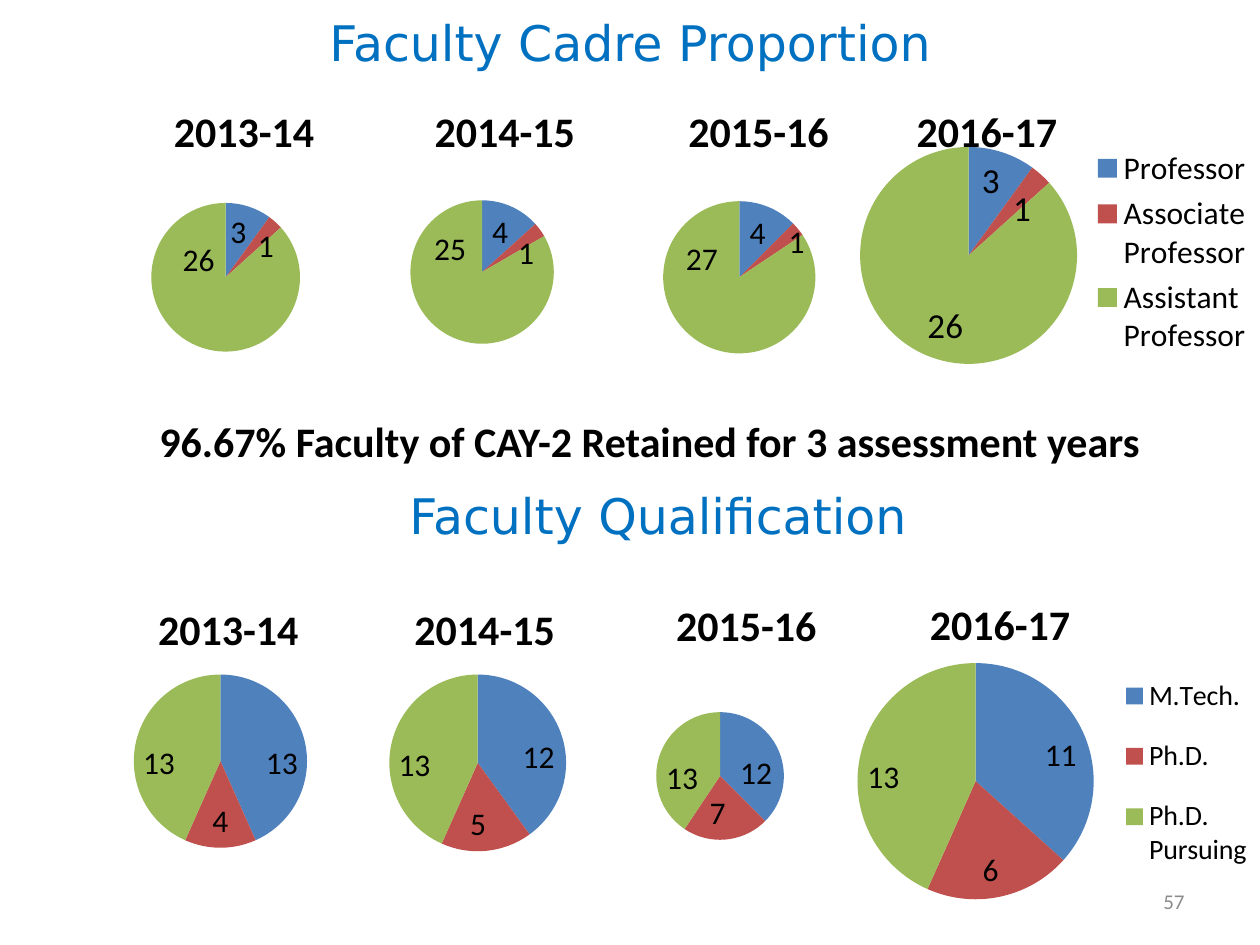
import pptx
import pptx.util
import pptx.chart.data
import pptx.dml.color
import pptx.enum.chart
import pptx.enum.text
import pptx.oxml
import pptx.oxml.ns

Pt = pptx.util.Pt
ALIGN = pptx.enum.text.PP_ALIGN
ANCHOR = pptx.enum.text.MSO_ANCHOR

COLORS = {"heading": "0070C0", "text": "000000", "number": "8C8C8C"}
SLICES = ["4F81BD", "C0504D", "9BBB59"]
NUMBERED = ["1", "2", "3"]
CADRES = ["Professor", "Associate Professor", "Assistant Professor"]
DEGREES = ["M.Tech.", "Ph.D.", "Ph.D. Pursuing"]

# Lengths in points: frame = left, top, width, height; title and pie = centre;
# moved = shift of single value labels; legend = left, top, width, height
CHARTS = [
    # Faculty cadre
    dict(year="2013-14", values=[3, 1, 26], frame=(30, 30, 198, 204),
         title=(135, 69), pie=(129, 158.5), diameter=85,
         moved={1: (2, 0), 2: (-9, -34)}),
    dict(year="2014-15", values=[4, 1, 25], frame=(180, 30, 192, 198),
         title=(284, 69), pie=(275.5, 155.5), diameter=82,
         moved={2: (-9, -34)}),
    dict(year="2015-16", values=[4, 1, 27], frame=(330, 30, 186, 204),
         title=(429, 69), pie=(422.5, 158.5), diameter=87,
         moved={1: (7, -6), 2: (-12, -34)}),
    dict(year="2016-17", values=[3, 1, 26], frame=(456, 24, 264, 210),
         title=(559.5, 69), pie=(553.5, 146), diameter=124,
         moved={1: (-3, 4)}, label_size=20,
         categories=CADRES, legend=(622, 81, 95, 126), legend_size=18),
    # Faculty qualification
    dict(year="2013-14", values=[13, 4, 13], frame=(30, 324, 192, 196.5),
         title=(126, 353.5), pie=(126, 435), diameter=99),
    dict(year="2014-15", values=[12, 5, 13], frame=(180, 324, 186, 198),
         title=(272.5, 353.5), pie=(273, 436), diameter=101),
    dict(year="2015-16", values=[12, 7, 13], frame=(330, 318, 174, 198),
         title=(422, 351.5), pie=(411.5, 443.5), diameter=73),
    dict(year="2016-17", values=[11, 6, 13], frame=(480, 282, 240, 276),
         title=(567, 351), pie=(557.5, 446.5), diameter=135,
         categories=DEGREES, legend=(639, 373, 78, 138), legend_size=16),
]
TITLE_WIDTH, TITLE_HEIGHT = 80, 29


def rgb(value):
    return pptx.dml.color.RGBColor.from_string(value)


def style(font, size, color=COLORS["text"], name="Calibri", bold=False):
    font.size, font.name, font.bold = Pt(size), name, bold
    font.color.rgb = rgb(color)


def write(shape, text, size, color, name="Calibri", bold=False,
          align=ALIGN.LEFT, anchor=ANCHOR.TOP):
    frame = shape.text_frame
    frame.word_wrap = True
    frame.vertical_anchor = anchor
    frame.text = text
    paragraph = frame.paragraphs[0]
    paragraph.alignment = align
    style(paragraph.runs[0].font, size, color, name, bold)


def add_text(slide, box, *args, **options):
    shape = slide.shapes.add_textbox(*[Pt(value) for value in box])
    write(shape, *args, **options)


def chart_xml(tag, content=""):
    namespaces = pptx.oxml.ns.nsdecls("c", "a")
    return pptx.oxml.parse_xml(f"<c:{tag} {namespaces}>{content}</c:{tag}>")


def set_layout(parent, index, frame, x, y, size=None, inner=False):
    """Place a chart element by hand, as shares of the chart's frame."""
    for old in parent.xpath("./c:layout"):
        parent.remove(old)
    width, height = frame[2:]
    values = {"x": x / width, "y": y / height}
    content = '<c:layoutTarget val="inner"/>' if inner else ""
    if size:
        content += '<c:xMode val="edge"/><c:yMode val="edge"/>'
        values.update(w=size[0] / width, h=size[1] / height)
    content += "".join(f'<c:{key} val="{value:.4f}"/>'
                       for key, value in values.items())
    parent.insert(index, chart_xml(
        "layout", f"<c:manualLayout>{content}</c:manualLayout>"))


def add_pie(slide, year, values, frame, title, pie, diameter, moved=None,
            label_size=18, categories=NUMBERED, legend=None, legend_size=None):
    data = pptx.chart.data.CategoryChartData()
    data.categories = categories
    data.add_series(year, values)
    chart = slide.shapes.add_chart(
        pptx.enum.chart.XL_CHART_TYPE.PIE,
        *[Pt(value) for value in frame], data).chart
    root = chart._chartSpace
    root.find(pptx.oxml.ns.qn("c:chart")).addnext(
        chart_xml("spPr", "<a:noFill/><a:ln><a:noFill/></a:ln>"))
    style(chart.font, 10)
    left, top = frame[:2]

    # Year above the pie
    chart.has_title = True
    title_frame = chart.chart_title.text_frame
    title_frame.text = year
    style(title_frame.paragraphs[0].runs[0].font, 24, bold=True)
    set_layout(root.xpath("./c:chart/c:title")[0], 1, frame,
               title[0] - TITLE_WIDTH / 2 - left,
               title[1] - TITLE_HEIGHT / 2 - top, size=(TITLE_WIDTH, TITLE_HEIGHT))

    # Slices and their values
    set_layout(root.xpath("./c:chart/c:plotArea")[0], 0, frame,
               pie[0] - diameter / 2 - left, pie[1] - diameter / 2 - top,
               size=(diameter, diameter), inner=True)
    series = chart.plots[0].series[0]
    for index, color in enumerate(SLICES):
        fill = series.points[index].format.fill
        fill.solid()
        fill.fore_color.rgb = rgb(color)
    inside_end = pptx.enum.chart.XL_LABEL_POSITION.INSIDE_END
    labels = series.data_labels
    labels.show_value = True
    labels.show_percentage = False
    labels.position = inside_end
    style(labels.font, label_size)
    for index, (shift_x, shift_y) in (moved or {}).items():
        label = series.points[index].data_label
        label.position = inside_end
        style(label.font, label_size)
        element = root.xpath(f".//c:dLbl[c:idx/@val='{index}']")[0]
        set_layout(element, 1, frame, shift_x, shift_y)

    # Key to the row
    chart.has_legend = legend is not None
    if legend:
        chart.legend.position = pptx.enum.chart.XL_LEGEND_POSITION.RIGHT
        chart.legend.include_in_layout = False
        style(chart.legend.font, legend_size)
        set_layout(root.xpath("./c:chart/c:legend")[0], 1, frame,
                   legend[0] - left, legend[1] - top, size=legend[2:])


def main():
    presentation = pptx.Presentation()
    presentation.slide_width, presentation.slide_height = Pt(720), Pt(540)
    slide = presentation.slides.add_slide(presentation.slide_layouts[5])

    # Headings and notes
    heading = dict(size=28, color=COLORS["heading"], name="DejaVu Sans",
                   align=ALIGN.CENTER, anchor=ANCHOR.MIDDLE)
    title = slide.shapes.title
    title.left, title.top, title.width, title.height = Pt(36), Pt(0), Pt(648), Pt(48)
    write(title, "Faculty Cadre Proportion", **heading)
    add_text(slide, (84, 234, 600, 36),
             "96.67% Faculty of CAY-2 Retained for 3 assessment years",
             24, COLORS["text"], bold=True)
    add_text(slide, (52, 270, 648, 48), "Faculty Qualification", **heading)
    add_text(slide, (516, 500.5, 168, 28.5), "57", 12, COLORS["number"],
             align=ALIGN.RIGHT, anchor=ANCHOR.MIDDLE)

    # Two rows of pies
    for chart in CHARTS:
        add_pie(slide, **chart)

    presentation.save("out.pptx")


if __name__ == "__main__":
    main()
